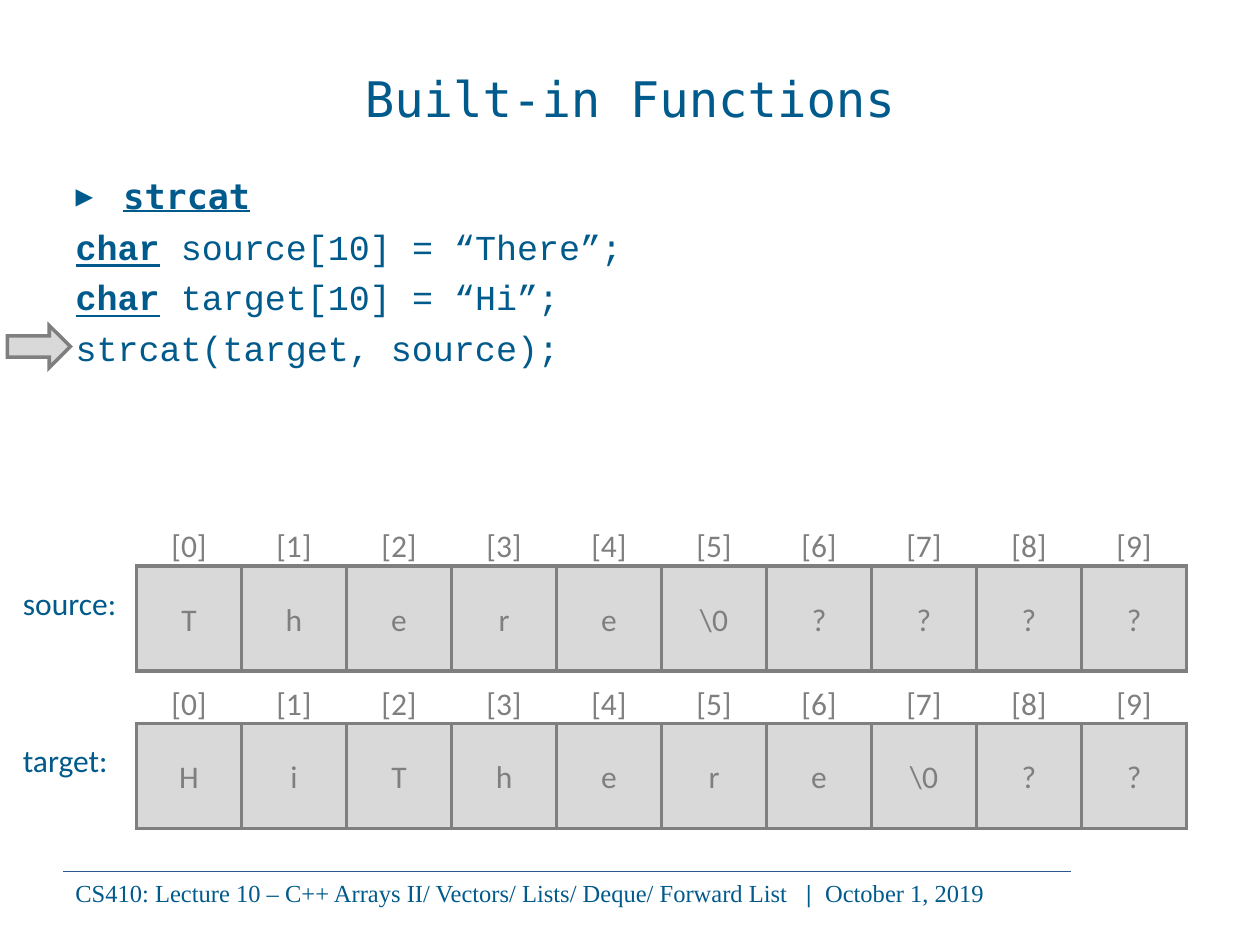
from lxml import etree
from pptx import Presentation
from pptx import util as u
from pptx.dml.color import RGBColor
from pptx.enum import shapes, text
from pptx.oxml.ns import qn

COLORS = {"ink": "005A8B", "fill": "D9D9D9", "edge": "7F7F7F", "rule": "2D588D"}
MONO, CODE, SANS, SERIF = "DejaVu Sans Mono", "Courier New", "Calibri", "Times New Roman"
SLIDE_W, SLIDE_H = u.Inches(10), u.Inches(7.5)
UNIT = SLIDE_W / 12


def grid(col, row, cols, rows):
    return [round(n * UNIT) for n in (col, row, cols, rows)]


def place(sp, box):
    sp.left, sp.top, sp.width, sp.height = box


def add_run(p, words, size=18, font=SANS, color="ink", bold=False, underline=False):
    r = p.add_run()
    r.text = words
    r.font.size, r.font.name = u.Pt(size), font
    r.font.bold, r.font.underline = bold, underline
    r.font.color.rgb = RGBColor.from_string(COLORS[color])


def paint(sp):
    sp.shadow.inherit = False
    sp.fill.solid()
    sp.fill.fore_color.rgb = RGBColor.from_string(COLORS["fill"])
    sp.line.color.rgb = RGBColor.from_string(COLORS["edge"])
    sp.line.width = u.Pt(2)
    etree.SubElement(sp._element.spPr.find(qn("a:ln")), qn("a:miter"), lim="800000")


def center(sp, words):
    tf = sp.text_frame
    tf.word_wrap = True
    tf.vertical_anchor = text.MSO_ANCHOR.MIDDLE
    p = tf.paragraphs[0]
    p.alignment = text.PP_ALIGN.CENTER
    add_run(p, words, color="edge")


def footer(s, box):
    left, top, width, height = box
    rule = s.shapes.add_connector(shapes.MSO_CONNECTOR.STRAIGHT, left, top, left + round(UNIT * 9.6), top)
    etree.SubElement(rule._element.spPr, qn("a:effectLst"))
    rule.line.color.rgb = RGBColor.from_string(COLORS["rule"])
    rule.line.width = u.Pt(0.5)
    tf = s.shapes.add_textbox(*box).text_frame
    tf.word_wrap = True
    p = tf.paragraphs[0]
    tabs = etree.SubElement(p._p.get_or_add_pPr(), qn("a:tabLst"))
    for stop in (5.8, 5.95):
        etree.SubElement(tabs, qn("a:tab"), pos=str(u.Inches(stop)), algn="l")
    look = dict(size=14, font=SERIF)
    add_run(p, "CS410: Lecture 10 – C++ Arrays II/ Vectors/ Lists/ Deque/ Forward List\t", **look)
    add_run(p, "|\t", bold=True, **look)
    add_run(p, "October 1, 2019", **look)


def heading(s, box):
    sp = s.shapes.title
    place(sp, box)
    tf = sp.text_frame
    tf.auto_size = text.MSO_AUTO_SIZE.NONE
    tf.vertical_anchor = text.MSO_ANCHOR.MIDDLE
    p = tf.paragraphs[0]
    p.alignment = text.PP_ALIGN.CENTER
    add_run(p, "Built-in Functions", size=28, font=MONO)


def code_list(s, box):
    sp = s.placeholders[1]
    place(sp, box)
    tf = sp.text_frame
    tf.auto_size = text.MSO_AUTO_SIZE.NONE
    lines = [
        ("strcat", ""),
        ("char", " source[10] = “There”;"),
        ("char", " target[10] = “Hi”;"),
        ("", "strcat(target, source);"),
    ]
    for i, (keyword, rest) in enumerate(lines):
        p = tf.paragraphs[0] if i == 0 else tf.add_paragraph()
        p.space_before = u.Pt(5 if i else 0)
        pPr = p._p.get_or_add_pPr()
        pPr.set("marL", str(u.Inches(0.38)))
        pPr.set("indent", str(-u.Inches(0.38)))
        if i == 0:
            tint = etree.SubElement(pPr, qn("a:buClr"))
            etree.SubElement(tint, qn("a:srgbClr"), val=COLORS["ink"])
            etree.SubElement(pPr, qn("a:buChar"), char="▸")
        else:
            etree.SubElement(pPr, qn("a:buNone"))
        font = CODE if i else MONO
        if keyword:
            add_run(p, keyword, size=20, font=font, bold=True, underline=True)
        if rest:
            add_run(p, rest, size=20, font=font)


def array_row(s, name, values, col, row):
    for i, value in enumerate(values):
        sp = s.shapes.add_shape(shapes.MSO_SHAPE.RECTANGLE, *grid(col + i, row, 1, 1))
        paint(sp)
        center(sp, value)
    for i in range(len(values)):
        center(s.shapes.add_textbox(*grid(col + i, row - 0.7, 1, 1)), f"[{i}]")
    tf = s.shapes.add_textbox(*grid(col - 1.2, row + 0.11, 1.2, 0.48)).text_frame
    tf.word_wrap = True
    tf.margin_right = 0
    add_run(tf.paragraphs[0], name)


def step_arrow(s, box):
    paint(s.shapes.add_shape(shapes.MSO_SHAPE.RIGHT_ARROW, *box))


def main():
    prs = Presentation()
    prs.slide_width, prs.slide_height = SLIDE_W, SLIDE_H
    s = prs.slides.add_slide(prs.slide_layouts[1])
    footer(s, grid(0.6, 8.3, 9.8, 0.68))
    heading(s, grid(0.6, 0.36, 10.8, 1.14))
    code_list(s, grid(0.6, 1.6, 10.3, 6.45))
    array_row(s, "source:", ["T", "h", "e", "r", "e", "\\0", "?", "?", "?", "?"], 1.3, 5.39)
    array_row(s, "target:", ["H", "i", "T", "h", "e", "r", "e", "\\0", "?", "?"], 1.3, 6.89)
    step_arrow(s, grid(0.07, 3.1, 0.6, 0.4))
    prs.save("out.pptx")


if __name__ == "__main__":
    main()
